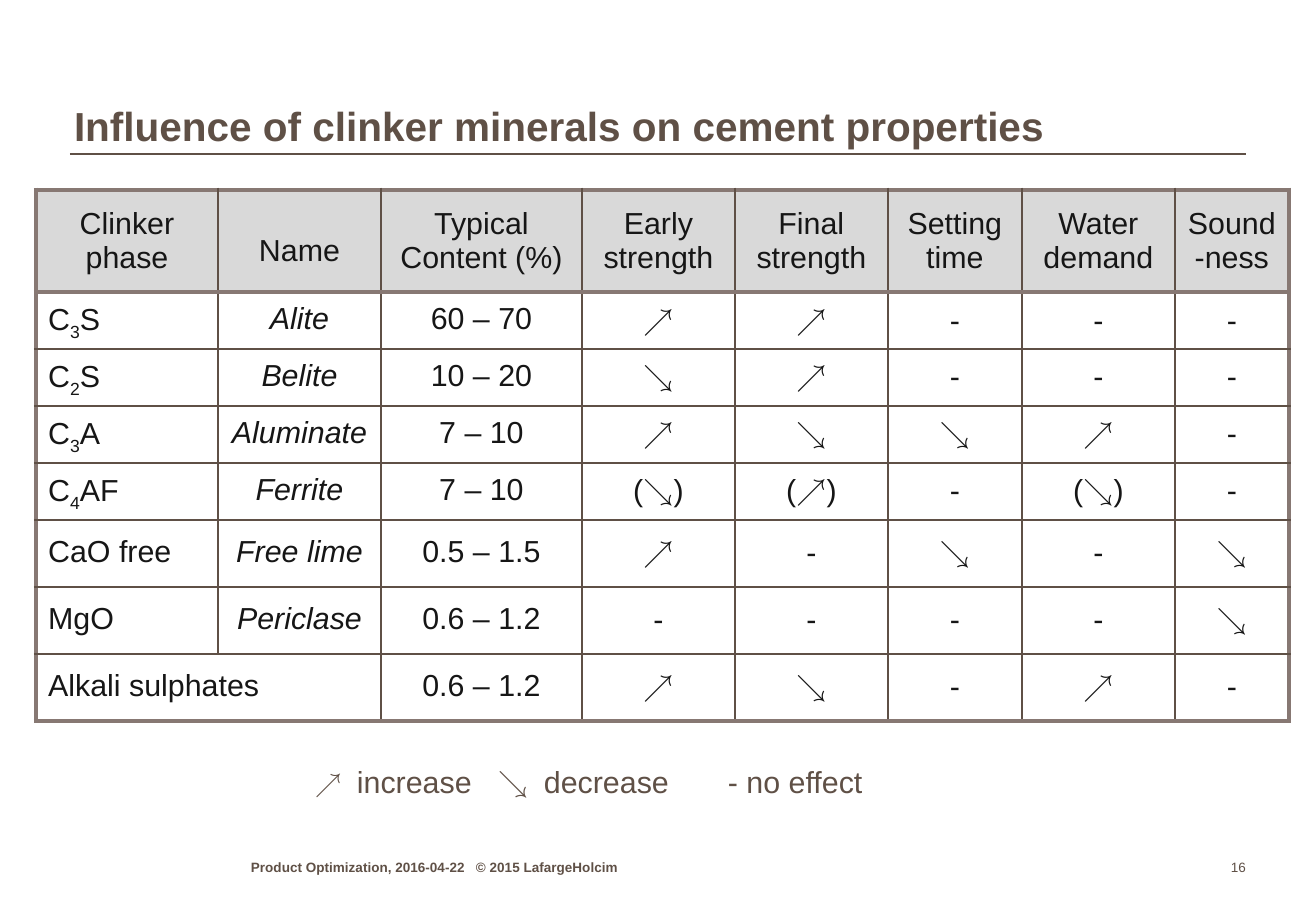
from itertools import groupby

from lxml import etree
from pptx import Presentation
from pptx.dml.color import RGBColor
from pptx.enum.shapes import MSO_CONNECTOR
from pptx.enum.text import MSO_ANCHOR, MSO_AUTO_SIZE, PP_ALIGN
from pptx.oxml.ns import qn
from pptx.util import Emu, Pt

TITLE = "Influence of clinker minerals on cement properties"
HEADERS = ["Clinker phase", "Name", "Typical Content (%)", "Early strength",
           "Final strength", "Setting time", "Water demand", "Sound-ness"]
MINERALS = [
    ["C3S", "Alite", "60 – 70", "↗", "↗", "-", "-", "-"],
    ["C2S", "Belite", "10 – 20", "↘", "↗", "-", "-", "-"],
    ["C3A", "Aluminate", "7 – 10", "↗", "↘", "↘", "↗", "-"],
    ["C4AF", "Ferrite", "7 – 10", "(↘)", "(↗)", "-", "(↘)", "-"],
    ["CaO free", "Free lime", "0.5 – 1.5", "↗", "-", "↘", "-", "↘"],
    ["MgO", "Periclase", "0.6 – 1.2", "-", "-", "-", "-", "↘"],
    ["Alkali sulphates", "", "0.6 – 1.2", "↗", "↘", "-", "↗", "-"],
]
LEGEND = ["↗", "\tincrease\t↘\tdecrease\t- no effect"]
LEGEND_TABS = [42, 183, 229, 413]
FOOTER = "Product Optimization, 2016-04-22\t© 2015 LafargeHolcim"
FOOTER_TABS = [225]
PAGE_NUMBER = "16"

COLUMN_WIDTHS = [182, 163, 201, 153, 153, 134, 153, 114]
ROW_HEIGHTS = [102] + [57] * 4 + [67] * 3
TABLE_LEFT, TABLE_TOP = 36, 190
PHASE_COLUMN, NAME_COLUMN, CONTENT_COLUMN = range(3)

BROWN = RGBColor(0x5F, 0x50, 0x46)
FRAME = RGBColor(0x87, 0x78, 0x73)
INK = RGBColor(0x16, 0x16, 0x16)
HEADER_FILL = RGBColor(0xD9, 0xD9, 0xD9)
FONT = "Arial"
ARROWS = "↗↘"
LEFT, CENTER, RIGHT = PP_ALIGN.LEFT, PP_ALIGN.CENTER, PP_ALIGN.RIGHT
MIDDLE, BOTTOM, TOP = MSO_ANCHOR.MIDDLE, MSO_ANCHOR.BOTTOM, MSO_ANCHOR.TOP
SCALE = 914400 / 121.5


def px(length):
    return Emu(round(length * SCALE))


def format_font(font, size, color, bold=False, italic=False):
    font.name = FONT
    font.size = Pt(size)
    font.color.rgb = color
    font.bold = bold
    font.italic = italic


def set_tabs(para, stops):
    tab_list = etree.SubElement(para._p.get_or_add_pPr(), qn("a:tabLst"))
    for stop in stops:
        etree.SubElement(tab_list, qn("a:tab"), pos=str(px(stop)), algn="l")


def set_frame(frame, anchor, margins):
    frame.word_wrap = True
    frame.auto_size = MSO_AUTO_SIZE.NONE
    frame.vertical_anchor = anchor
    (frame.margin_left, frame.margin_top,
     frame.margin_right, frame.margin_bottom) = map(px, margins)


def add_text(page, place, spans, anchor, margins, align=LEFT, tabs=()):
    box = page.shapes.add_textbox(*map(px, place))
    set_frame(box.text_frame, anchor, margins)
    para = box.text_frame.paragraphs[0]
    para.alignment = align
    if tabs:
        set_tabs(para, tabs)
    for text, size, bold in spans:
        span = para.add_run()
        span.text = text
        format_font(span.font, size, BROWN, bold)


def set_borders(cell, borders):
    properties = cell._tc.get_or_add_tcPr()
    for index, (side, (color, width)) in enumerate(borders.items()):
        line = etree.Element(qn(f"a:ln{side}"), w=str(Pt(width)))
        fill = etree.SubElement(line, qn("a:solidFill"))
        etree.SubElement(fill, qn("a:srgbClr"), val=str(color))
        properties.insert(index, line)


def fill_cell(cell, text, row, column):
    def kind(letter):
        if letter in ARROWS:
            return "arrow"
        return "index" if column == PHASE_COLUMN and letter.isdigit() else "plain"

    para = cell.text_frame.paragraphs[0]
    para.alignment = LEFT if row and column == PHASE_COLUMN else CENTER
    if row and column <= CONTENT_COLUMN:
        para.line_spacing = 0.9
    elif row == 0 and column == NAME_COLUMN:
        para.line_spacing = 1.6
    for style, letters in groupby(text, kind):
        span = para.add_run()
        span.text = "".join(letters)
        format_font(span.font, 18, INK, style == "arrow",
                    row > 0 and column == NAME_COLUMN)
        if style == "index":
            span._r.get_or_add_rPr().set("baseline", "-25000")


def add_mineral_table(page):
    rows = [HEADERS] + MINERALS
    last_row, last_column = len(rows) - 1, len(HEADERS) - 1
    table = page.shapes.add_table(
        len(rows), len(HEADERS), px(TABLE_LEFT), px(TABLE_TOP),
        px(sum(COLUMN_WIDTHS)), px(sum(ROW_HEIGHTS))).table
    table.first_row = table.horz_banding = False
    for column, width in zip(table.columns, COLUMN_WIDTHS):
        column.width = px(width)
    for row, height in zip(table.rows, ROW_HEIGHTS):
        row.height = px(height)
    table.cell(last_row, PHASE_COLUMN).merge(table.cell(last_row, NAME_COLUMN))

    thick, thin = (FRAME, 3), (BROWN, 1)
    for row, texts in enumerate(rows):
        for column, text in enumerate(texts):
            cell = table.cell(row, column)
            if cell.is_spanned:
                continue
            cell.vertical_anchor = MIDDLE
            if row == 0:
                cell.fill.solid()
                cell.fill.fore_color.rgb = HEADER_FILL
            else:
                cell.fill.background()
            set_borders(cell, {
                "L": thick if column == 0 else thin,
                "R": thick if column == last_column else thin,
                "T": thick if row <= 1 else thin,
                "B": thick if row in (0, last_row) else thin,
            })
            fill_cell(cell, text, row, column)


def main():
    deck = Presentation()
    deck.slide_width, deck.slide_height = px(1316), px(911)
    page = deck.slides.add_slide(deck.slide_layouts[5])

    rule = page.shapes.add_connector(
        MSO_CONNECTOR.STRAIGHT, px(70), px(154), px(1246), px(154))
    rule.line.color.rgb = BROWN
    rule.line.width = Pt(1)
    etree.SubElement(rule._element.spPr, qn("a:effectLst"))

    title = page.shapes.title
    title.left, title.top, title.width, title.height = map(px, (74, 46, 1166, 106))
    set_frame(title.text_frame, BOTTOM, (0, 0, 0, 1))
    title.text_frame.text = TITLE
    para = title.text_frame.paragraphs[0]
    para.alignment = LEFT
    para.line_spacing = 0.95
    format_font(para.runs[0].font, 24, BROWN, True)

    add_mineral_table(page)
    add_text(page, (303, 757, 850, 49),
             [(LEGEND[0], 16, False), (LEGEND[1], 18, False)],
             TOP, (12, 6, 12, 6), tabs=LEGEND_TABS)
    add_text(page, (251, 853, 422, 22), [(FOOTER, 8, True)],
             BOTTOM, (0, 0, 0, 0), tabs=FOOTER_TABS)
    add_text(page, (1189, 853, 57, 22), [(PAGE_NUMBER, 8, False)],
             BOTTOM, (0, 0, 0, 0), RIGHT)
    deck.save("out.pptx")


if __name__ == "__main__":
    main()
